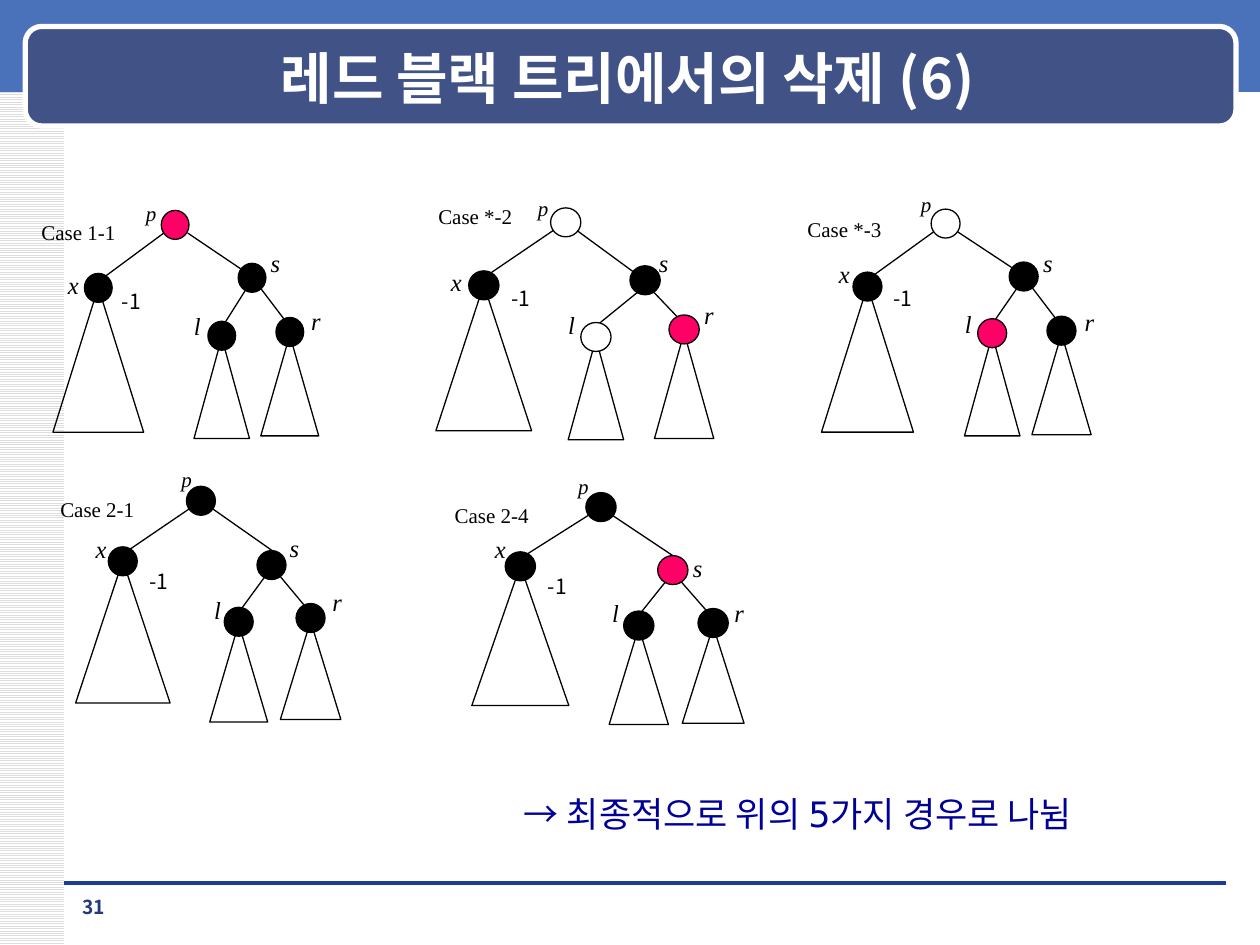
from dataclasses import dataclass

from lxml.etree import SubElement
from pptx import Presentation
from pptx.dml.color import RGBColor
from pptx.enum.dml import MSO_PATTERN
from pptx.enum.shapes import MSO_CONNECTOR, MSO_SHAPE
from pptx.enum.text import MSO_ANCHOR, PP_ALIGN
from pptx.oxml.ns import qn
from pptx.util import Inches, Pt

COLORS = {
    "black": "000000", "white": "FFFFFF", "red": "FF0066",
    "band": "4972BB", "title": "405286", "stripe": "DDDDDD",
    "rule": "1A3D97", "number": "23387D", "conclusion": "000099",
}
SERIF = "Times New Roman"
KOREAN = "Noto Sans CJK KR"
LATIN = "DejaVu Sans"
NODE_HEIGHT = 0.23
EDGES = {
    "px": ((0.02, 0.18), (0.17, 0.02)),
    "ps": ((0.21, 0.18), (0.03, 0.05)),
    "sl": ((0.06, 0.21), (0.13, 0.02)),
    "sr": ((0.18, 0.20), (0.07, 0.02)),
}
LOW_SIBLING_EDGE = ((0.21, 0.18), (0.12, 0))
SUBTREE_DROPS = {"x": 0.11, "l": 0.13, "r": 0.14}


@dataclass
class Tree:
    name: str
    name_at: tuple
    delta_at: tuple
    node_width: float
    colors: dict
    nodes: dict
    labels: dict
    subtrees: dict
    low_sibling_edge: bool = False


TREES = [
    Tree("Case 1-1", (0.23, 1.69), (0.87, 2.24), 0.22, {"p": "red"},
         {"p": (1.28, 1.67), "x": (0.67, 2.17), "s": (1.89, 2.09),
          "l": (1.65, 2.55), "r": (2.19, 2.52)},
         {"p": (1.06, 1.54), "x": (0.44, 2.09), "s": (2.05, 1.92),
          "l": (1.44, 2.42), "r": (2.37, 2.38)},
         {"x": (0.72, 1.15), "l": (0.44, 0.8), "r": (0.46, 0.8)}),
    Tree("Case *-2", (3.38, 1.57), (3.96, 2.22), 0.24,
         {"p": "white", "l": "white", "r": "red"},
         {"p": (4.37, 1.65), "x": (3.72, 2.15), "s": (5, 2.11),
          "l": (4.61, 2.56), "r": (5.31, 2.5)},
         {"p": (4.17, 1.5), "x": (3.48, 2.07), "s": (5.13, 1.92),
          "l": (4.41, 2.41), "r": (5.49, 2.33)},
         {"x": (0.76, 1.16), "l": (0.44, 0.8), "r": (0.47, 0.84)}),
    Tree("Case *-3", (6.31, 1.67), (6.99, 2.22), 0.23,
         {"p": "white", "l": "red"},
         {"p": (7.39, 1.66), "x": (6.77, 2.16), "s": (8.01, 2.08),
          "l": (7.76, 2.53), "r": (8.31, 2.51)},
         {"p": (7.21, 1.47), "x": (6.56, 2.01), "s": (8.18, 1.92),
          "l": (7.56, 2.4), "r": (8.51, 2.39)},
         {"x": (0.73, 1.16), "l": (0.44, 0.8), "r": (0.47, 0.8)}),
    Tree("Case 2-1", (0.38, 3.89), (1.09, 4.46), 0.23, {},
         {"p": (1.48, 3.86), "x": (0.86, 4.34), "s": (2.04, 4.37),
          "l": (1.78, 4.82), "r": (2.35, 4.79)},
         {"p": (1.34, 3.65), "x": (0.66, 4.19), "s": (2.2, 4.18),
          "l": (1.6, 4.67), "r": (2.54, 4.61)},
         {"x": (0.75, 1.13), "l": (0.46, 0.78), "r": (0.48, 0.78)}, True),
    Tree("Case 2-4", (3.51, 3.94), (4.25, 4.5), 0.24, {"s": "red"},
         {"p": (4.65, 3.91), "x": (4.01, 4.38), "s": (5.22, 4.41),
          "l": (4.95, 4.85), "r": (5.54, 4.83)},
         {"p": (4.49, 3.71), "x": (3.83, 4.19), "s": (5.4, 4.34),
          "l": (4.76, 4.7), "r": (5.73, 4.7)},
         {"x": (0.77, 1.11), "l": (0.47, 0.77), "r": (0.49, 0.77)}, True),
]


def color(name):
    return RGBColor.from_string(COLORS[name])


def add_shape(slide, kind, box, fill=None, line=None, weight=0.75):
    shape = slide.shapes.add_shape(kind, *map(Inches, box))
    shape.shadow.inherit = False
    if fill:
        shape.fill.solid()
        shape.fill.fore_color.rgb = color(fill)
    else:
        shape.fill.background()
    if line:
        shape.line.color.rgb = color(line)
        shape.line.width = Pt(weight)
    else:
        shape.line.fill.background()
    return shape


def add_line(slide, start, end, line="black", weight=0.75):
    connector = slide.shapes.add_connector(
        MSO_CONNECTOR.STRAIGHT, *map(Inches, (*start, *end)))
    connector.line.color.rgb = color(line)
    connector.line.width = Pt(weight)
    SubElement(connector._element.spPr, qn("a:effectLst"))


def add_text(slide, text, box, size, font=SERIF, fill="black", bold=False,
             italic=False, centered=False, wrap=False):
    frame = slide.shapes.add_textbox(*map(Inches, box)).text_frame
    frame.word_wrap = wrap
    paragraph = frame.paragraphs[0]
    paragraph.text = text
    if centered:
        frame.vertical_anchor = MSO_ANCHOR.MIDDLE
        paragraph.alignment = PP_ALIGN.CENTER
    paragraph.font.size = Pt(size)
    paragraph.font.bold = bold
    paragraph.font.italic = italic
    paragraph.font.color.rgb = color(fill)
    paragraph.font.name = font
    properties = paragraph._p.pPr.find(qn("a:defRPr"))
    SubElement(properties, qn("a:ea")).set("typeface", KOREAN)


def add_background(slide):
    stripe = add_shape(slide, MSO_SHAPE.RECTANGLE, (0, 0, 0.51, 7.5))
    stripe.fill.patterned()
    stripe.fill.pattern = MSO_PATTERN.LIGHT_HORIZONTAL
    stripe.fill.fore_color.rgb = color("stripe")
    stripe.fill.back_color.rgb = color("white")
    add_shape(slide, MSO_SHAPE.RECTANGLE, (0, -0.03, 10, 0.76), "band")
    add_line(slide, (0.51, 7.01), (9.73, 7.01), "rule", 0)
    add_shape(slide, MSO_SHAPE.ROUNDED_RECTANGLE, (0.2, 0.21, 9.61, 0.79),
              "title", "white", 3)


def shifted(point, offset):
    return point[0] + offset[0], point[1] + offset[1]


def add_tree(slide, tree):
    for (parent, child), offsets in EDGES.items():
        if child == "s" and tree.low_sibling_edge:
            offsets = LOW_SIBLING_EDGE
        add_line(slide, shifted(tree.nodes[parent], offsets[0]),
                 shifted(tree.nodes[child], offsets[1]))
    for key, (width, height) in tree.subtrees.items():
        corner = shifted(tree.nodes[key],
                         ((tree.node_width - width) / 2, SUBTREE_DROPS[key]))
        add_shape(slide, MSO_SHAPE.ISOSCELES_TRIANGLE,
                  (*corner, width, height), line="black")
    for key, corner in tree.nodes.items():
        add_shape(slide, MSO_SHAPE.OVAL, (*corner, tree.node_width, NODE_HEIGHT),
                  tree.colors.get(key, "black"), "black")
    for key, corner in tree.labels.items():
        add_text(slide, key, (*corner, 0.28, 0.33), 12 if key == "p" else 14,
                 italic=True)
    add_text(slide, tree.name, (*tree.name_at, 0.79, 0.3), 12)
    add_text(slide, "-1", (*tree.delta_at, 0.4, 0.3), 12, KOREAN)


def main():
    presentation = Presentation()
    presentation.slide_width = Inches(10)
    presentation.slide_height = Inches(7.5)
    slide = presentation.slides.add_slide(presentation.slide_layouts[6])
    add_background(slide)
    add_text(slide, "레드 블랙 트리에서의 삭제 (6)", (0.71, 0.3, 8.54, 0.62), 32,
             KOREAN, "white", bold=True, centered=True, wrap=True)
    for tree in TREES:
        add_tree(slide, tree)
    add_text(slide, "→ 최종적으로 위의 5가지 경우로 나뉨", (4.06, 6.24, 5.48, 0.44),
             20, LATIN, "conclusion", wrap=True)
    add_text(slide, "31", (0.51, 7.06, 0.47, 0.27), 11, KOREAN, "number",
             bold=True, centered=True, wrap=True)
    presentation.save("out.pptx")


if __name__ == "__main__":
    main()
